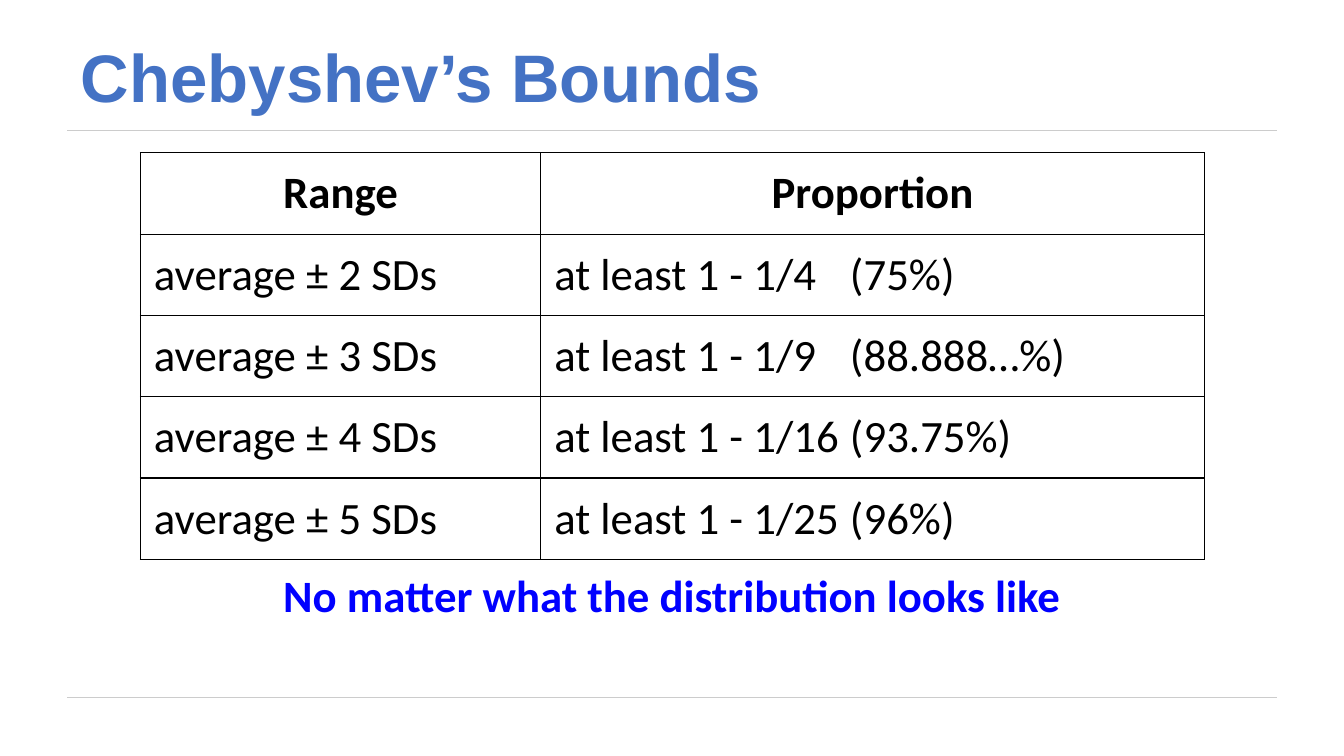
from lxml.etree import SubElement
from pptx import Presentation
from pptx.dml.color import RGBColor
from pptx.enum.shapes import MSO_CONNECTOR as Connector
from pptx.enum.text import MSO_ANCHOR as Anchor, PP_ALIGN as Align
from pptx.oxml.ns import qn
from pptx.util import Cm, Pt

TITLE_BLUE = RGBColor(0x44, 0x72, 0xC4)
NOTE_BLUE = RGBColor(0x00, 0x00, 0xFF)
BLACK = RGBColor(0x00, 0x00, 0x00)
RULE_GREY = RGBColor(0xCC, 0xCC, 0xCC)

INSET = Cm(0.34)
PERCENT_TAB = Cm(7.45)
ROW_HEIGHT = Cm(2.05)
COLUMN_WIDTHS = (Cm(10.09), Cm(16.72))
HEADINGS = ("Range", "Proportion")
BOUNDS = (
    ("average ± 2 SDs", "at least 1 - 1/4\t(75%)"),
    ("average ± 3 SDs", "at least 1 - 1/9\t(88.888…%)"),
    ("average ± 4 SDs", "at least 1 - 1/16\t(93.75%)"),
    ("average ± 5 SDs", "at least 1 - 1/25\t(96%)"),
)


def write(frame, text, size=32, font="Calibri", color=BLACK, bold=False,
          align=Align.LEFT, spacing=None):
    paragraph = frame.paragraphs[0]
    paragraph.alignment = align
    if spacing:
        paragraph.line_spacing = spacing
    run = paragraph.add_run()
    run.text = text
    run.font.size = Pt(size)
    run.font.name = font
    run.font.bold = bold
    run.font.color.rgb = color
    return paragraph


def add_text(slide, text, left, top, width, height, anchor=Anchor.TOP, **style):
    frame = slide.shapes.add_textbox(left, top, width, height).text_frame
    frame.word_wrap = True
    frame.vertical_anchor = anchor
    frame.margin_left = frame.margin_right = INSET
    frame.margin_top = frame.margin_bottom = INSET
    write(frame, text, **style)


def add_rule(slide, y):
    rule = slide.shapes.add_connector(Connector.STRAIGHT, Cm(1.7), y, Cm(32.18), y)
    rule.line.color.rgb = RULE_GREY
    rule.line.width = Pt(0.75)
    SubElement(rule._element.spPr, qn("a:effectLst"))


def add_tab_stop(paragraph, position):
    tabs = SubElement(paragraph._p.get_or_add_pPr(), qn("a:tabLst"))
    SubElement(tabs, qn("a:tab"), pos=str(position), algn="l")


def style_cell(cell):
    cell.margin_left = cell.margin_right = INSET
    cell.margin_top = cell.margin_bottom = INSET
    properties = cell._tc.get_or_add_tcPr()
    for side in ("lnL", "lnR", "lnT", "lnB"):
        border = SubElement(properties, qn(f"a:{side}"), w=str(Pt(1)))
        fill = SubElement(border, qn("a:solidFill"))
        SubElement(fill, qn("a:srgbClr"), val=str(BLACK))
    cell.fill.background()


def add_bounds_table(slide, left, top):
    rows = (HEADINGS, *BOUNDS)
    table = slide.shapes.add_table(
        len(rows), len(HEADINGS), left, top,
        sum(COLUMN_WIDTHS), ROW_HEIGHT * len(rows)).table
    table.first_row = table.horz_banding = False
    for column, width in zip(table.columns, COLUMN_WIDTHS):
        column.width = width
    for r, row in enumerate(rows):
        heading = r == 0
        for c, text in enumerate(row):
            cell = table.cell(r, c)
            style_cell(cell)
            paragraph = write(cell.text_frame, text, bold=heading,
                              align=Align.CENTER if heading else Align.LEFT)
            if "\t" in text:
                add_tab_stop(paragraph, PERCENT_TAB)


def main():
    deck = Presentation()
    deck.slide_width, deck.slide_height = Cm(33.87), Cm(19.05)
    slide = deck.slides.add_slide(deck.slide_layouts[6])

    # Rules above and below the content
    for y in (Cm(3.28), Cm(17.58)):
        add_rule(slide, y)

    # Title
    add_text(slide, "Chebyshev’s Bounds", Cm(1.7), Cm(0.76), Cm(24.84), Cm(2.52),
             anchor=Anchor.BOTTOM, size=48, font="Arial", color=TITLE_BLUE,
             bold=True, spacing=0.9)

    # Bounds and the closing remark
    add_bounds_table(slide, Cm(3.54), Cm(3.85))
    add_text(slide, "No matter what the distribution looks like",
             Cm(5.46), Cm(13.97), Cm(22.96), Cm(1.9),
             color=NOTE_BLUE, bold=True, align=Align.CENTER)

    deck.save("out.pptx")


if __name__ == "__main__":
    main()
